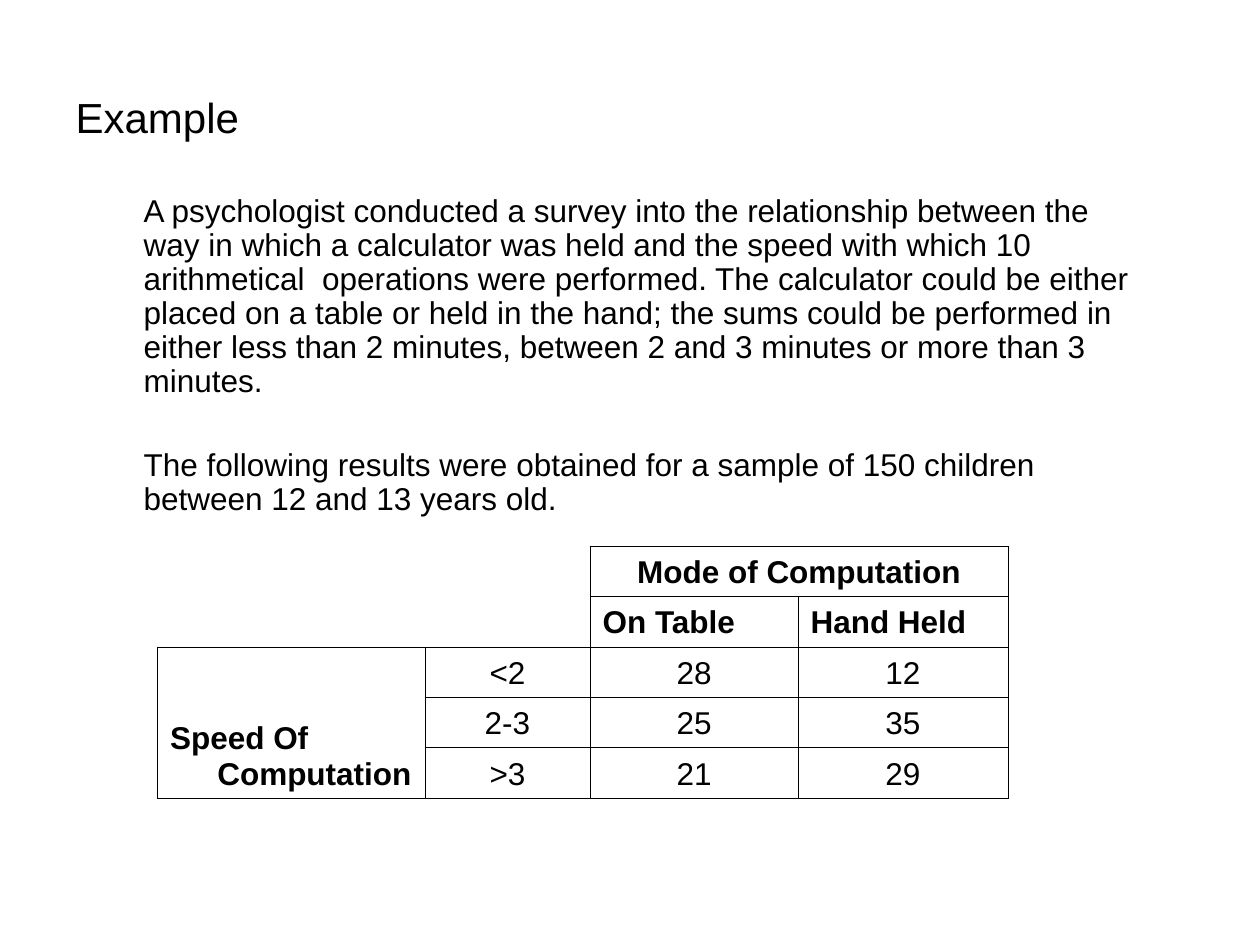
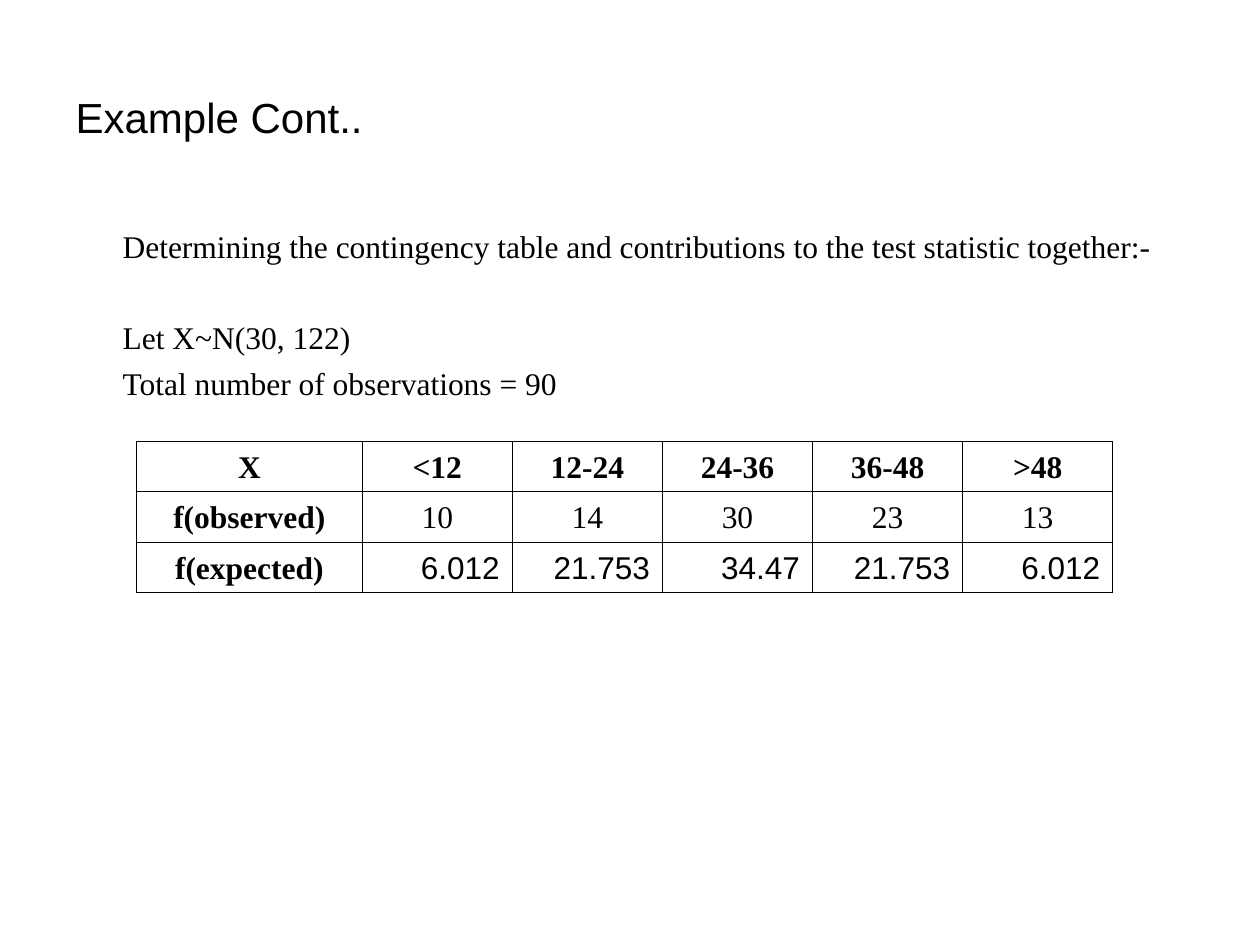
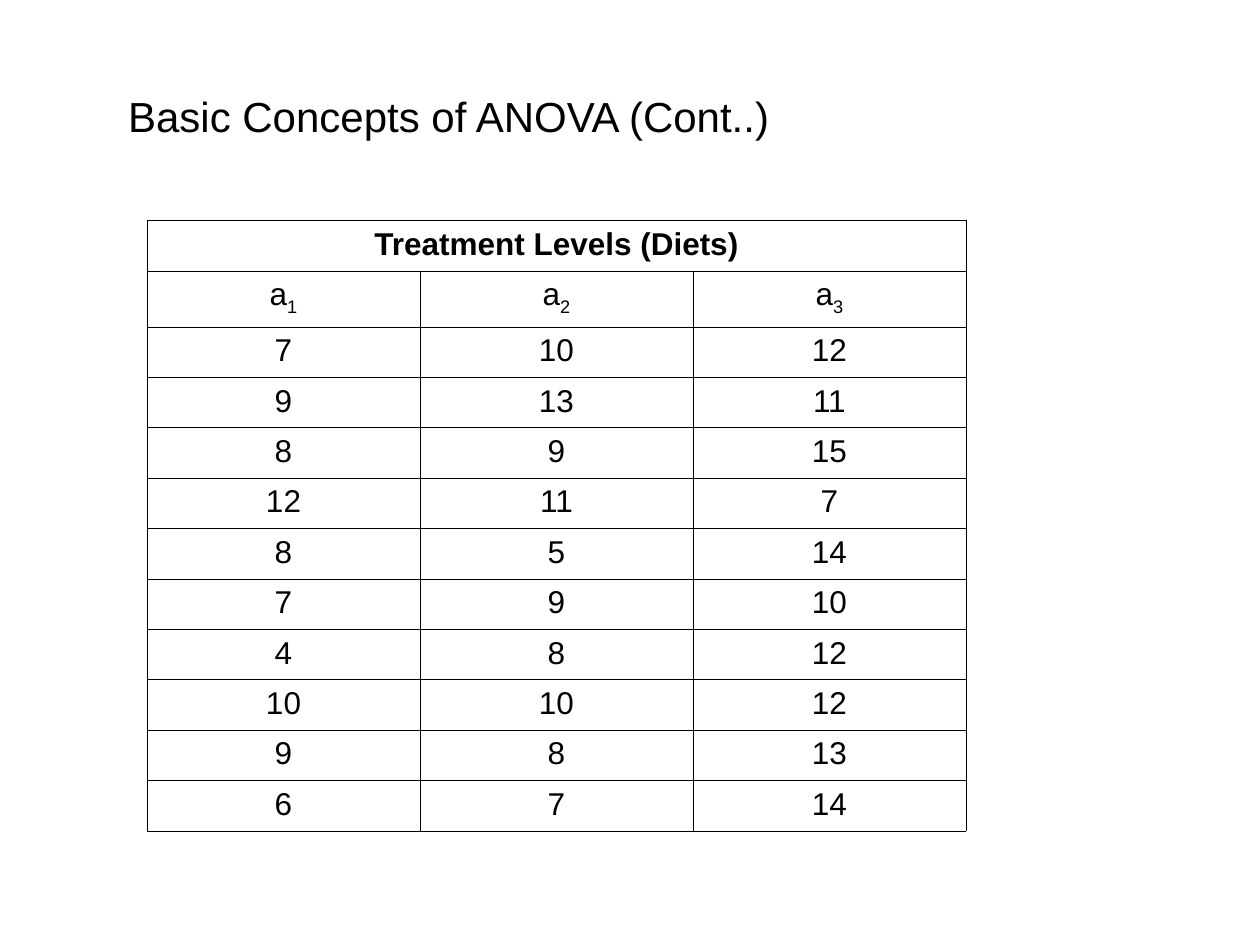
"""Build three statistics slides, each with a title and a bordered table."""
import pptx
import pptx.dml.color
import pptx.enum.text
import pptx.oxml.ns
import pptx.util
from lxml import etree

Pt = pptx.util.Pt
ALIGN = pptx.enum.text.PP_ALIGN
ANCHOR = pptx.enum.text.MSO_ANCHOR
qn = pptx.oxml.ns.qn
SANS, SERIF = "Arial", "Times New Roman"
BLACK, WHITE = "000000", "FFFFFF"
BORDER, ROW, INDENT = 0.45, 28.8, 27


def color(hex_text):
    return pptx.dml.color.RGBColor.from_string(hex_text)


def write(frame, text, size=18, font=SANS, bold=False, align=ALIGN.LEFT,
          before=0, spacing=1.0, indent=0, hanging=0):
    para = frame.paragraphs[0]
    if para.runs:
        para = frame.add_paragraph()
    para.alignment = align
    para.space_before = Pt(before)
    para.line_spacing = spacing
    properties = para._p.get_or_add_pPr()
    properties.set("marL", str(Pt(indent)))
    properties.set("indent", str(-Pt(hanging)))
    for position, part in enumerate(text.split("_")):
        span = para.add_run()
        span.text = part
        span.font.size = Pt(size)
        span.font.name = font
        span.font.bold = bold
        span.font.color.rgb = color(BLACK)
        if position:
            span._r.get_or_add_rPr().set("baseline", "-25000")


example = {
    "title": "Example",
    "title_box": (36, 21.6, 648, 90),
    "title_anchor": ANCHOR.MIDDLE,
    "body_box": (48, 108, 618, 210),
    "font": SANS,
    "spacing": 0.9,
    "body": [
        ("A psychologist conducted a survey into the relationship between the way in "
         "which a calculator was held and the speed with which 10 arithmetical  "
         "operations were performed. The calculator could be either placed on a table "
         "or held in the hand; the sums could be performed in either less than 2 "
         "minutes, between 2 and 3 minutes or more than 3 minutes.", 4.5),
        ("The following results were obtained for a sample of 150 children between "
         "12 and 13 years old.", 28.5),
    ],
    "table_at": (90, 312),
    "columns": [152.8, 94.4, 118.8, 120],
    "rows": [ROW] * 5,
    "anchor": ANCHOR.BOTTOM,
    "cells": [
        ["", "", "Mode of Computation", ""],
        ["", "", "On Table", "Hand Held"],
        ["Speed Of Computation", "<2", "28", "12"],
        ["", "2-3", "25", "35"],
        ["", ">3", "21", "29"],
    ],
    "merges": [(0, 2, 0, 3), (2, 0, 4, 0)],
    "bold": {(0, 2), (1, 2), (1, 3), (2, 0)},
    "left": {(1, 2), (1, 3), (2, 0)},
    "right": set(),
    "open": {(0, 0): "", (0, 1): "R", (1, 0): "B", (1, 1): "RB"},
}
continued = {
    "title": "Example Cont..",
    "title_box": (36, 21.6, 648, 90),
    "title_anchor": ANCHOR.MIDDLE,
    "body_box": (36, 126, 642, 120),
    "font": SERIF,
    "spacing": 1.0,
    "body": [
        ("Determining the contingency table and contributions to the test statistic "
         "together:-", 4.5),
        ("Let X~N(30, 122)", 30.5),
        ("Total number of observations = 90", 4.5),
    ],
    "table_at": (78, 252),
    "columns": [129] + [85.8] * 5,
    "rows": [ROW] * 3,
    "anchor": ANCHOR.BOTTOM,
    "cells": [
        ["X", "<12", "12-24", "24-36", "36-48", ">48"],
        ["f(observed)", "10", "14", "30", "23", "13"],
        ["f(expected)", "6.012", "21.753", "34.47", "21.753", "6.012"],
    ],
    "merges": [],
    "bold": {(0, column) for column in range(6)} | {(1, 0), (2, 0)},
    "left": set(),
    "right": {(2, column) for column in range(1, 6)},
    "open": {},
}
anova = {
    "title": "Basic Concepts of ANOVA (Cont..)",
    "title_box": (66, 48, 582, 36),
    "title_anchor": ANCHOR.TOP,
    "body": [],
    "font": SANS,
    "table_at": (84, 126),
    "columns": [156] * 3,
    "rows": [ROW, 32] + [ROW] * 10,
    "anchor": ANCHOR.TOP,
    "cells": [
        ["Treatment Levels (Diets)", "", ""],
        ["a_1", "a_2", "a_3"],
        ["7", "10", "12"],
        ["9", "13", "11"],
        ["8", "9", "15"],
        ["12", "11", "7"],
        ["8", "5", "14"],
        ["7", "9", "10"],
        ["4", "8", "12"],
        ["10", "10", "12"],
        ["9", "8", "13"],
        ["6", "7", "14"],
    ],
    "merges": [(0, 0, 0, 2)],
    "bold": {(0, 0)},
    "left": set(),
    "right": set(),
    "open": {},
}

deck = pptx.Presentation()
deck.slide_width, deck.slide_height = Pt(720), Pt(540)

for content in (example, continued, anova):
    page = deck.slides.add_slide(deck.slide_layouts[5])
    page.background.fill.solid()
    page.background.fill.fore_color.rgb = color(WHITE)

    title = page.shapes.title
    title.left, title.top, title.width, title.height = map(Pt, content["title_box"])
    title.text_frame.auto_size = pptx.enum.text.MSO_AUTO_SIZE.NONE
    title.text_frame.vertical_anchor = content["title_anchor"]
    write(title.text_frame, content["title"], size=24)

    if content["body"]:
        box = page.shapes.add_textbox(*map(Pt, content["body_box"]))
        box.text_frame.word_wrap = True
        for text, before in content["body"]:
            write(box.text_frame, text, font=content["font"], before=before,
                  spacing=content["spacing"], indent=INDENT)

    columns, rows = content["columns"], content["rows"]
    left, top = content["table_at"]
    table = page.shapes.add_table(len(rows), len(columns), Pt(left), Pt(top),
                                  Pt(sum(columns)), Pt(sum(rows))).table
    table.first_row = table.horz_banding = False
    for column, width in zip(table.columns, columns):
        column.width = Pt(width)
    for row, height in zip(table.rows, rows):
        row.height = Pt(height)
    for first_row, first_column, last_row, last_column in content["merges"]:
        table.cell(first_row, first_column).merge(table.cell(last_row, last_column))

    for row_index, texts in enumerate(content["cells"]):
        for column_index, text in enumerate(texts):
            place = (row_index, column_index)
            cell = table.cell(*place)
            cell.vertical_anchor = content["anchor"]
            properties = cell._tc.get_or_add_tcPr()
            for side in "LRTB":
                line = etree.SubElement(properties, qn("a:ln" + side), w=str(Pt(BORDER)))
                if side in content["open"].get(place, "LRTB"):
                    paint = etree.SubElement(line, qn("a:solidFill"))
                    etree.SubElement(paint, qn("a:srgbClr"), val=BLACK)
                else:
                    etree.SubElement(line, qn("a:noFill"))
            cell.fill.solid()
            cell.fill.fore_color.rgb = color(WHITE)
            if not text:
                continue
            align = ALIGN.CENTER
            if place in content["left"]:
                align = ALIGN.LEFT
            elif place in content["right"]:
                align = ALIGN.RIGHT
            hang = INDENT if align == ALIGN.LEFT else 0
            write(cell.text_frame, text, bold=place in content["bold"], align=align,
                  font=SANS if align == ALIGN.RIGHT else content["font"],
                  indent=hang, hanging=hang)

deck.save("out.pptx")
